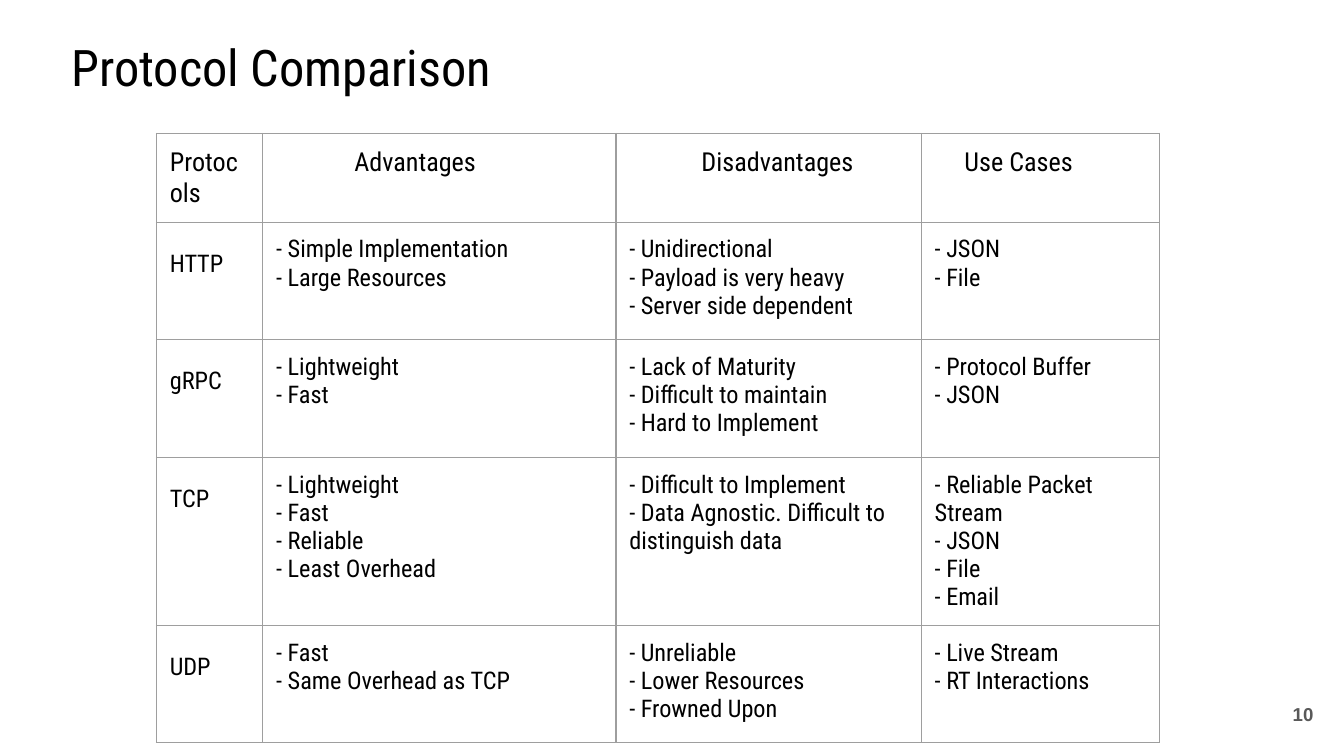
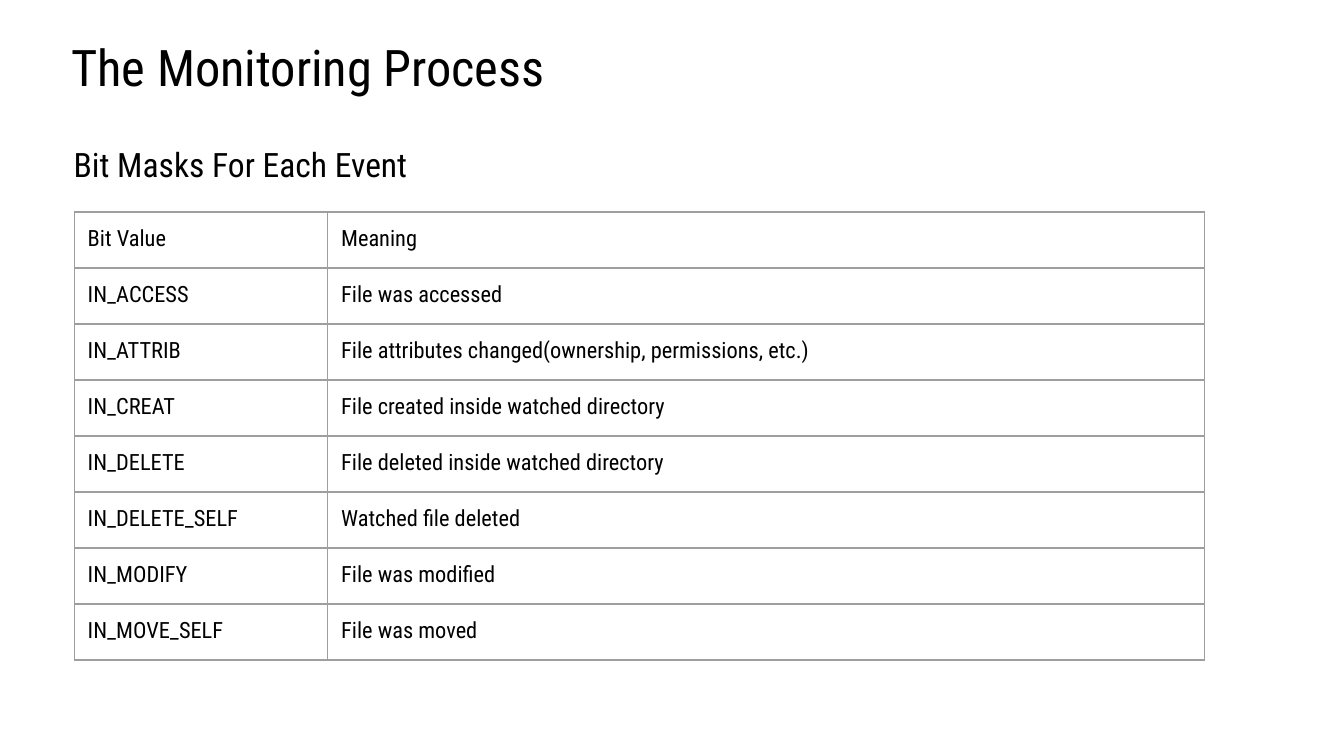
from dataclasses import dataclass

from lxml.etree import SubElement
from pptx import Presentation
from pptx.dml.color import RGBColor
from pptx.enum.text import MSO_ANCHOR as Anchor, MSO_AUTO_SIZE as AutoSize, PP_ALIGN as Align
from pptx.oxml.ns import qn
from pptx.util import Pt

# Content
PROTOCOL_TITLE = "Protocol Comparison"
PROTOCOL_HEADERS = ["Protocols", "Advantages", "Disadvantages", "Use Cases"]
PROTOCOLS = [
    ("HTTP",
     ["Simple Implementation", "Large Resources"],
     ["Unidirectional", "Payload is very heavy", "Server side dependent"],
     ["JSON", "File"]),
    ("gRPC",
     ["Lightweight", "Fast"],
     ["Lack of Maturity", "Difficult to maintain", "Hard to Implement"],
     ["Protocol Buffer", "JSON"]),
    ("TCP",
     ["Lightweight", "Fast", "Reliable", "Least Overhead"],
     ["Difficult to Implement", "Data Agnostic. Difficult to distinguish data"],
     ["Reliable Packet Stream", "JSON", "File", "Email"]),
    ("UDP",
     ["Fast", "Same Overhead as TCP"],
     ["Unreliable", "Lower Resources", "Frowned Upon"],
     ["Live Stream", "RT Interactions"]),
]
PAGE_NUMBER = "10"

MONITORING_TITLE = "The Monitoring Process"
MASKS_HEADING = "Bit Masks For Each Event"
BIT_MASKS = [
    ("Bit Value", "Meaning"),
    ("IN_ACCESS", "File was accessed"),
    ("IN_ATTRIB", "File attributes changed(ownership, permissions, etc.)"),
    ("IN_CREAT", "File created inside watched directory"),
    ("IN_DELETE", "File deleted inside watched directory"),
    ("IN_DELETE_SELF", "Watched file deleted"),
    ("IN_MODIFY", "File was modified"),
    ("IN_MOVE_SELF", "File was moved"),
]


# Shared look
@dataclass(frozen=True)
class Theme:
    font: str = "Roboto Condensed"
    number_font: str = "Arial"
    ink: str = "000000"
    number_ink: str = "595959"
    rule: str = "9E9E9E"
    rule_width: float = 0.75
    title_size: float = 27
    heading_size: float = 18
    header_size: float = 14
    list_size: float = 13
    mask_size: float = 12
    number_size: float = 10
    inset: float = 7.2


THEME = Theme()
SLIDE_SIZE = (720, 405)
TITLE_BOX = (31, 10, 671, 49)
HEADING_BOX = (32.4, 70, 659, 36)
NUMBER_BOX = (667.5, 367.2, 43.2, 31)

# Column widths, row heights and header indents
PROTOCOL_ORIGIN = (83.8, 71.5)
PROTOCOL_COLUMNS = [57, 189.2, 163.6, 127.6]
PROTOCOL_ROWS = [36.7, 63, 63, 79.2, 63]
HEADER_INDENTS = [0, 41.8, 38.6, 15.9]
MASK_ORIGIN = (39.8, 113.6)
MASK_COLUMNS = [135.8, 469.8]
MASK_ROW = 30


def points(values):
    return [Pt(value) for value in values]


# Text
def add_text(paragraph, text, size, font=THEME.font, color=THEME.ink, bold=False):
    run = paragraph.add_run()
    run.text = text
    run.font.size = Pt(size)
    run.font.name = font
    run.font.bold = bold
    run.font.color.rgb = RGBColor.from_string(color)


def set_insets(holder):
    holder.margin_left = holder.margin_right = Pt(THEME.inset)
    holder.margin_top = holder.margin_bottom = Pt(THEME.inset)


def prepare_frame(shape, anchor, auto_size=AutoSize.NONE):
    frame = shape.text_frame
    frame.word_wrap = True
    frame.auto_size = auto_size
    frame.vertical_anchor = anchor
    set_insets(frame)
    return frame.paragraphs[0]


def add_titled_slide(presentation, title):
    slide = presentation.slides.add_slide(presentation.slide_layouts[5])
    shape = slide.shapes.title
    shape.left, shape.top, shape.width, shape.height = points(TITLE_BOX)
    paragraph = prepare_frame(shape, Anchor.BOTTOM)
    paragraph.alignment = Align.LEFT
    add_text(paragraph, title, THEME.title_size)
    return slide


# Tables
def draw_borders(cell):
    properties = cell._tc.get_or_add_tcPr()
    for side in ("lnL", "lnR", "lnT", "lnB"):
        line = SubElement(properties, qn(f"a:{side}"), w=str(Pt(THEME.rule_width)))
        fill = SubElement(line, qn("a:solidFill"))
        SubElement(fill, qn("a:srgbClr"), val=THEME.rule)


def add_grid(slide, origin, widths, heights):
    table = slide.shapes.add_table(
        len(heights), len(widths), *points(origin),
        Pt(sum(widths)), Pt(sum(heights))).table
    table.first_row = table.horz_banding = False
    for column, width in zip(table.columns, widths):
        column.width = Pt(width)
    for row, height in zip(table.rows, heights):
        row.height = Pt(height)
    for cell in table.iter_cells():
        draw_borders(cell)
        cell.fill.background()
        set_insets(cell)
    return table


def fill_cell(cell, lines, size):
    frame = cell.text_frame
    for index, line in enumerate(lines):
        paragraph = frame.add_paragraph() if index else frame.paragraphs[0]
        add_text(paragraph, line, size)
    return frame.paragraphs[0]


# Slides
def build_protocol_slide(presentation):
    slide = add_titled_slide(presentation, PROTOCOL_TITLE)
    table = add_grid(slide, PROTOCOL_ORIGIN, PROTOCOL_COLUMNS, PROTOCOL_ROWS)
    for column, (header, indent) in enumerate(zip(PROTOCOL_HEADERS, HEADER_INDENTS)):
        paragraph = fill_cell(table.cell(0, column), [header], THEME.header_size)
        paragraph._p.get_or_add_pPr().set("marL", str(Pt(indent)))
    for row, (name, *lists) in enumerate(PROTOCOLS, start=1):
        fill_cell(table.cell(row, 0), [name], THEME.list_size).line_spacing = 1.5
        for column, items in enumerate(lists, start=1):
            lines = [f"- {item}" for item in items]
            fill_cell(table.cell(row, column), lines, THEME.list_size)
    number = slide.shapes.add_textbox(*points(NUMBER_BOX))
    paragraph = prepare_frame(number, Anchor.MIDDLE)
    paragraph.alignment = Align.RIGHT
    add_text(paragraph, PAGE_NUMBER, THEME.number_size,
             THEME.number_font, THEME.number_ink, bold=True)


def build_monitoring_slide(presentation):
    slide = add_titled_slide(presentation, MONITORING_TITLE)
    heading = slide.shapes.add_textbox(*points(HEADING_BOX))
    paragraph = prepare_frame(heading, Anchor.TOP, AutoSize.SHAPE_TO_FIT_TEXT)
    paragraph.space_before = Pt(10)
    add_text(paragraph, MASKS_HEADING, THEME.heading_size)
    table = add_grid(slide, MASK_ORIGIN, MASK_COLUMNS, [MASK_ROW] * len(BIT_MASKS))
    for row, values in enumerate(BIT_MASKS):
        for column, value in enumerate(values):
            fill_cell(table.cell(row, column), [value], THEME.mask_size)


def main():
    presentation = Presentation()
    presentation.slide_width, presentation.slide_height = points(SLIDE_SIZE)
    build_protocol_slide(presentation)
    build_monitoring_slide(presentation)
    presentation.save("out.pptx")


if __name__ == "__main__":
    main()
